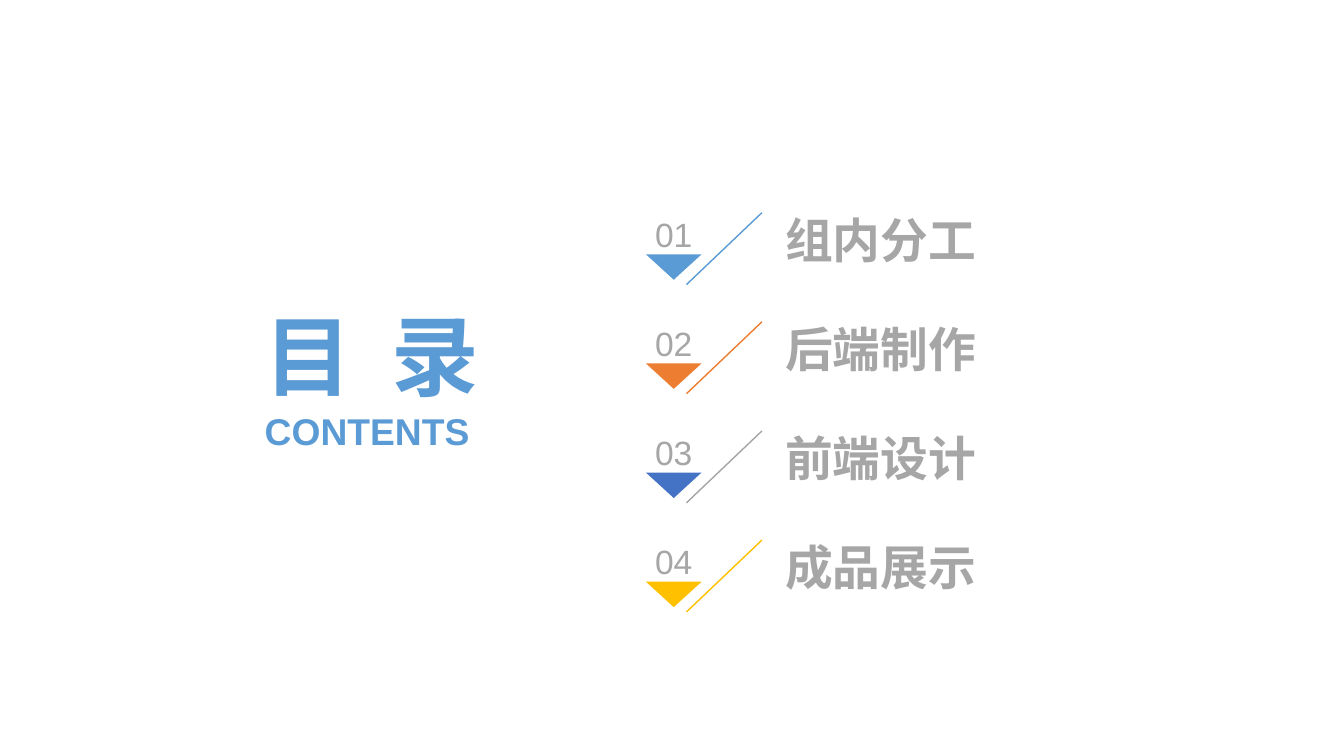
from pptx import Presentation
from pptx.util import Cm, Pt
from pptx.dml.color import RGBColor
from pptx.enum import text as t, shapes as s
from lxml import etree

BLUE, GRAY = "5B9BD5", "A6A6A6"
NS = "http://schemas.openxmlformats.org/drawingml/2006/main"


def paint(color, hue):
    color.rgb = RGBColor.from_string(hue)


def write(box, words, size, hue, bold, align, anchor):
    frame = box.text_frame
    frame.text = words
    frame.word_wrap = True
    frame.auto_size = t.MSO_AUTO_SIZE.NONE
    frame.vertical_anchor = anchor
    frame.margin_left = frame.margin_right = 0
    frame.margin_top = frame.margin_bottom = 0
    para = frame.paragraphs[0]
    para.alignment = align
    para.font.name = "Arial"
    para.font.size = Pt(size)
    para.font.bold = bold
    paint(para.font.color, hue)


deck = Presentation()
deck.slide_width, deck.slide_height = Cm(33.87), Cm(19.05)
slide = deck.slides.add_slide(deck.slide_layouts[5])
mid, left = t.PP_ALIGN.CENTER, t.PP_ALIGN.LEFT
anchor = t.MSO_ANCHOR

# Heading, with the two characters spread apart
title = slide.shapes.title
title.left, title.top = Cm(5.6), Cm(7.59)
title.width, title.height = Cm(7.57), Cm(2.67)
write(title, "目 录", 62.6, BLUE, True, mid, anchor.MIDDLE)
run = title.text_frame.paragraphs[0].runs[0]
run._r.get_or_add_rPr().set("spc", "700")

sub = slide.shapes.add_textbox(Cm(5.51), Cm(10.29), Cm(7.49), Cm(1.14))
write(sub, "CONTENTS", 26.6, BLUE, True, mid, anchor.TOP)

# Agenda rows: label, triangle colour, slash colour
rows = [
    ("组内分工", BLUE, BLUE),
    ("后端制作", "ED7D31", "ED7D31"),
    ("前端设计", "4472C4", "A5A5A5"),
    ("成品展示", "FFC000", "FFC000"),
]
for i, (label, fill, line) in enumerate(rows):
    top = 5.36 + 2.75 * i

    name = slide.shapes.add_textbox(Cm(19.79), Cm(top - 0.35), Cm(8.08), Cm(2.03))
    write(name, label, 34.1, GRAY, True, left, anchor.MIDDLE)

    mark = slide.shapes.add_group_shape().shapes

    # Slash
    slash = mark.add_connector(s.MSO_CONNECTOR.STRAIGHT,
                               Cm(19.2), Cm(top), Cm(17.3), Cm(top + 1.81))
    slash.line.width = Pt(1)
    paint(slash.line.color, line)
    etree.SubElement(slash._element.spPr, f"{{{NS}}}effectLst")

    # Triangle pointing down
    y = top + 1.05
    pen = mark.build_freeform(Cm(16.28), Cm(y))
    pen.add_line_segments([(Cm(17.68), Cm(y)), (Cm(16.98), Cm(y + 0.64))])
    wedge = pen.convert_to_shape()
    wedge.shadow.inherit = False
    wedge.fill.solid()
    paint(wedge.fill.fore_color, fill)
    wedge.line.fill.background()

    # Number
    num = mark.add_textbox(Cm(16.23), Cm(top + 0.02), Cm(1.5), Cm(1.02))
    write(num, f"{i + 1:02}", 24, GRAY, False, mid, anchor.BOTTOM)

deck.save("out.pptx")
